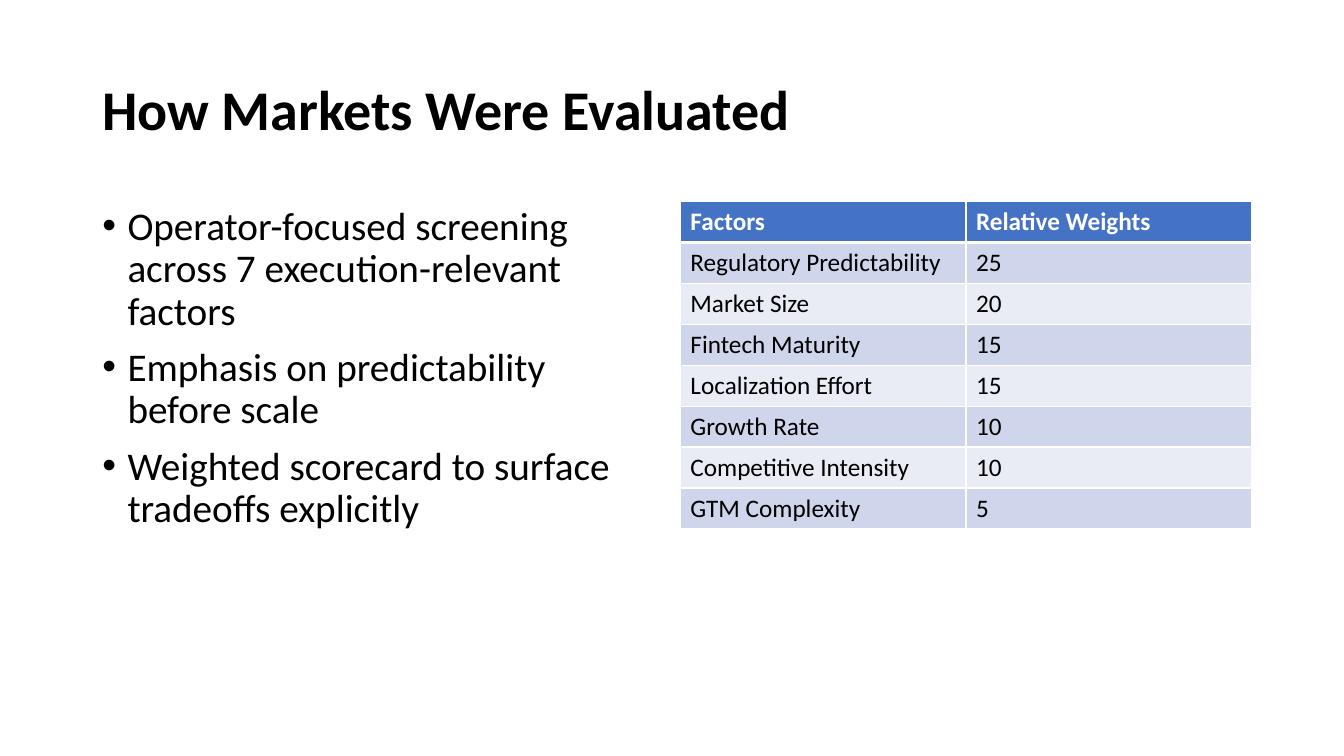
from dataclasses import dataclass

from lxml.etree import SubElement
from pptx import Presentation
from pptx.dml.color import RGBColor
from pptx.enum.text import MSO_ANCHOR
from pptx.oxml.ns import qn
from pptx.slide import Slide
from pptx.table import _Cell
from pptx.text.text import TextFrame, _Paragraph
from pptx.util import Emu, Pt

EMU_PER_PX = 9525
FONT = "Calibri"
BLACK = RGBColor(0x00, 0x00, 0x00)
WHITE = RGBColor(0xFF, 0xFF, 0xFF)
HEADER_BLUE = RGBColor(0x44, 0x72, 0xC4)
BAND_DARK = RGBColor(0xCF, 0xD5, 0xEA)
BAND_LIGHT = RGBColor(0xE9, 0xEB, 0xF5)

TITLE = "How Markets Were Evaluated"
POINTS = [
    "Operator-focused screening across 7 execution-relevant factors",
    "Emphasis on predictability before scale",
    "Weighted scorecard to surface tradeoffs explicitly",
]
COLUMN_WIDTH = 272
ROW_HEIGHT = 39
THIN_BORDER = 1
HEADER_BORDER = 3
BULLET_INDENT = 24


@dataclass(frozen=True)
class Area:
    left: int
    top: int
    width: int
    height: int

    def emu(self) -> tuple[Emu, Emu, Emu, Emu]:
        return px(self.left), px(self.top), px(self.width), px(self.height)


@dataclass(frozen=True)
class Factor:
    name: str
    weight: int


FACTORS = [
    Factor("Regulatory Predictability", 25),
    Factor("Market Size", 20),
    Factor("Fintech Maturity", 15),
    Factor("Localization Effort", 15),
    Factor("Growth Rate", 10),
    Factor("Competitive Intensity", 10),
    Factor("GTM Complexity", 5),
]
TITLE_AREA = Area(88, 38, 1104, 139)
POINTS_AREA = Area(88, 192, 544, 457)
TABLE_AREA = Area(648, 192, 2 * COLUMN_WIDTH, (len(FACTORS) + 1) * ROW_HEIGHT)


def px(length: int) -> Emu:
    return Emu(length * EMU_PER_PX)


def format_text(paragraph: _Paragraph, size: int, color: RGBColor = BLACK, bold: bool = False) -> None:
    for span in paragraph.runs:
        span.font.name = FONT
        span.font.size = Pt(size)
        span.font.bold = bold
        span.font.color.rgb = color


def add_bullet(paragraph: _Paragraph) -> None:
    properties = paragraph._p.get_or_add_pPr()
    properties.set("marL", str(px(BULLET_INDENT)))
    properties.set("indent", str(-px(BULLET_INDENT)))
    SubElement(properties, qn("a:buFont"), typeface="Arial")
    SubElement(properties, qn("a:buChar"), char="•")


def add_text_frame(page: Slide, area: Area, text: str) -> TextFrame:
    frame = page.shapes.add_textbox(*area.emu()).text_frame
    frame.word_wrap = True
    frame.text = text
    for paragraph in frame.paragraphs:
        paragraph.line_spacing = 0.9
    return frame


def add_title(page: Slide) -> None:
    frame = add_text_frame(page, TITLE_AREA, TITLE)
    frame.vertical_anchor = MSO_ANCHOR.MIDDLE
    format_text(frame.paragraphs[0], 40, bold=True)


def add_points(page: Slide) -> None:
    frame = add_text_frame(page, POINTS_AREA, "\n".join(POINTS))
    for paragraph in frame.paragraphs:
        paragraph.space_before = Pt(10)
        add_bullet(paragraph)
        format_text(paragraph, 28)


def set_borders(cell: _Cell, top: int, bottom: int) -> None:
    """Draw white cell borders; top and bottom widths are in points."""
    properties = cell._tc.get_or_add_tcPr()
    widths = {"lnL": THIN_BORDER, "lnR": THIN_BORDER, "lnT": top, "lnB": bottom}
    for side, width in widths.items():
        line = SubElement(properties, qn(f"a:{side}"), w=str(Pt(width)))
        fill = SubElement(line, qn("a:solidFill"))
        SubElement(fill, qn("a:srgbClr"), val=str(WHITE))


def add_factor_table(page: Slide) -> None:
    rows = [("Factors", "Relative Weights")]
    rows += [(factor.name, str(factor.weight)) for factor in FACTORS]
    table = page.shapes.add_table(len(rows), 2, *TABLE_AREA.emu()).table
    for column in table.columns:
        column.width = px(COLUMN_WIDTH)
    for row_index, texts in enumerate(rows):
        table.rows[row_index].height = px(ROW_HEIGHT)
        is_header = row_index == 0
        band = BAND_DARK if row_index % 2 else BAND_LIGHT
        for column_index, text in enumerate(texts):
            cell = table.cell(row_index, column_index)
            cell.text_frame.text = text
            format_text(cell.text_frame.paragraphs[0], 18, WHITE if is_header else BLACK, is_header)
            set_borders(
                cell,
                top=HEADER_BORDER if row_index == 1 else THIN_BORDER,
                bottom=HEADER_BORDER if is_header else THIN_BORDER,
            )
            cell.fill.solid()
            cell.fill.fore_color.rgb = HEADER_BLUE if is_header else band


def main() -> None:
    deck = Presentation()
    deck.slide_width, deck.slide_height = px(1280), px(720)
    page = deck.slides.add_slide(deck.slide_layouts[6])
    add_title(page)
    add_points(page)
    add_factor_table(page)
    deck.save("out.pptx")


if __name__ == "__main__":
    main()
